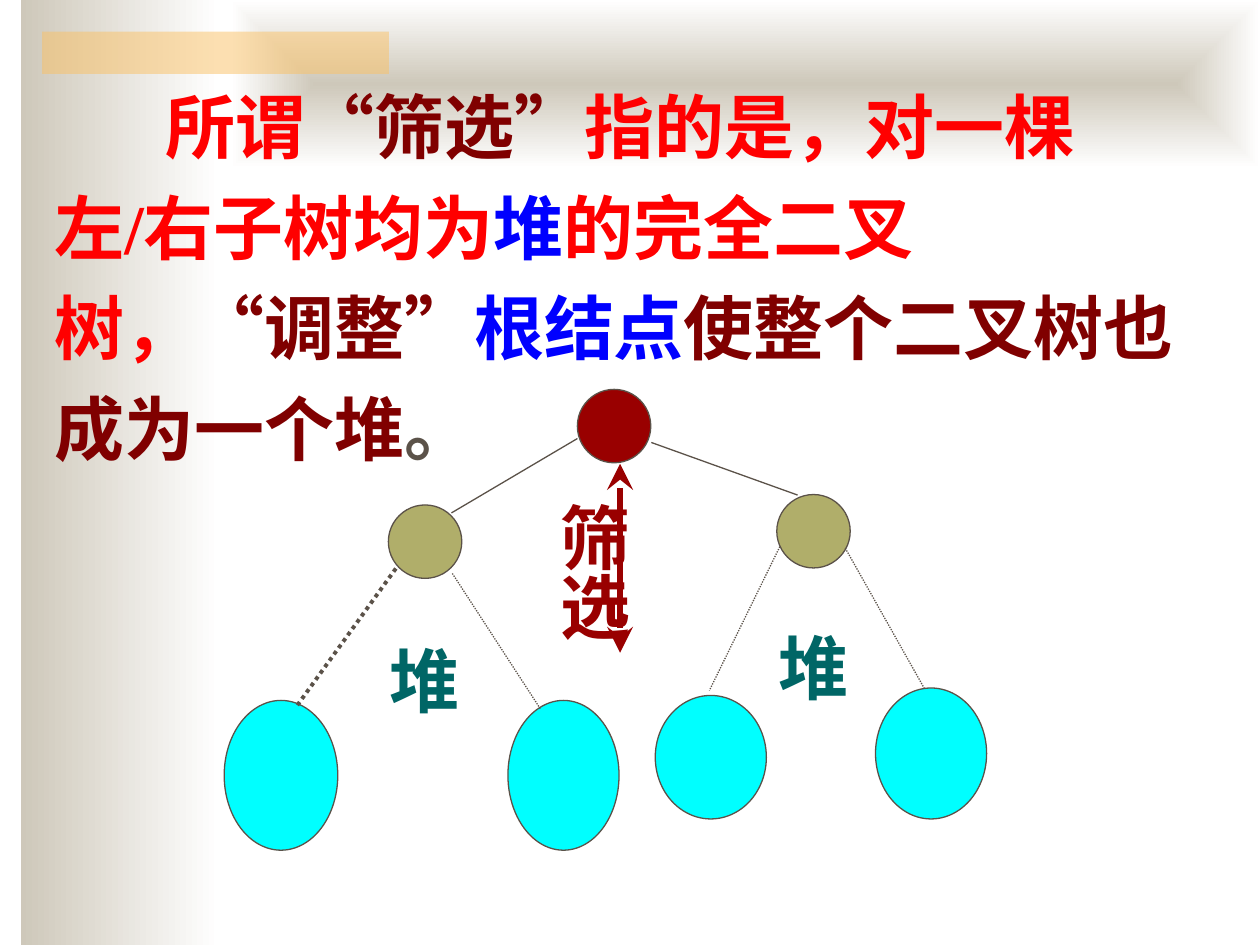
import dataclasses
import typing

import lxml.etree
import pptx
import pptx.dml.color
import pptx.enum.dml
import pptx.enum.shapes
import pptx.enum.text
import pptx.oxml.ns
import pptx.util

Cm = pptx.util.Cm
SHAPE = pptx.enum.shapes.MSO_SHAPE
qn = pptx.oxml.ns.qn

OUTLINE = "5B5249"
SAND = "CEC8BA"
WHITE = "FFFFFF"
RED = "FF0000"
MAROON = "800000"
BLUE = "0000FF"
ROOT = "990000"
CHILD = "B0AE6A"
LEAF = "00FFFF"
TEAL = "006666"
CHAR_FORMAT = {"name": "Times New Roman", "size": pptx.util.Pt(40), "bold": True}


@dataclasses.dataclass
class Box:
    left: float
    top: float
    width: float
    height: float

    def lengths(self) -> list:
        return [Cm(v) for v in (self.left, self.top, self.width, self.height)]


@dataclasses.dataclass
class Node:
    box: Box
    color: str


@dataclasses.dataclass
class Edge:
    x1: float
    y1: float
    x2: float
    y2: float
    color: str = OUTLINE
    width: float = 0.75
    dotted: bool = False
    arrows: bool = False


@dataclasses.dataclass
class Run:
    text: str
    color: str
    new_line: bool = False


@dataclasses.dataclass
class Label:
    box: Box
    runs: list
    format: dict = dataclasses.field(default_factory=dict)
    wrap: bool = True
    vertical: bool = False


def rgb(value: str) -> pptx.dml.color.RGBColor:
    return pptx.dml.color.RGBColor.from_string(value)


def child(parent: typing.Any, tag: str, **attrs: str) -> typing.Any:
    return lxml.etree.SubElement(parent, qn(tag), attrs)


def add_panel(s: typing.Any, box: Box) -> typing.Any:
    sp = s.shapes.add_shape(SHAPE.RECTANGLE, *box.lengths())
    sp.shadow.inherit = False
    sp.line.fill.background()
    return sp


def add_gradient_panel(s: typing.Any, box: Box, from_center: bool) -> None:
    sp = add_panel(s, box)
    sp.fill.gradient()
    sp.fill.gradient_angle = 0
    for stop, position, color in zip(sp.fill.gradient_stops, (0, 1), (SAND, WHITE)):
        stop.position = position
        stop.color.rgb = rgb(color)
    if from_center:
        grad = sp._element.spPr.find(qn("a:gradFill"))
        grad.remove(grad.find(qn("a:lin")))
        center = child(grad, "a:path", path="shape")
        child(center, "a:fillToRect", l="50000", t="50000", r="50000", b="50000")


def add_accent(s: typing.Any, box: Box, color: str) -> None:
    sp = add_panel(s, box)
    sp.fill.solid()
    sp.fill.fore_color.rgb = rgb(color)
    clr = sp._element.spPr.find(qn("a:solidFill")).find(qn("a:srgbClr"))
    child(clr, "a:alpha", val="50000")


def add_node(s: typing.Any, node: Node) -> None:
    sp = s.shapes.add_shape(SHAPE.OVAL, *node.box.lengths())
    sp.shadow.inherit = False
    sp.fill.solid()
    sp.fill.fore_color.rgb = rgb(node.color)
    sp.line.color.rgb = rgb(OUTLINE)
    sp.line.width = pptx.util.Pt(0.75)


def add_edge(s: typing.Any, edge: Edge) -> None:
    ends = [Cm(v) for v in (edge.x1, edge.y1, edge.x2, edge.y2)]
    cx = s.shapes.add_connector(pptx.enum.shapes.MSO_CONNECTOR.STRAIGHT, *ends)
    cx.line.color.rgb = rgb(edge.color)
    cx.line.width = pptx.util.Pt(edge.width)
    if edge.dotted:
        cx.line.dash_style = pptx.enum.dml.MSO_LINE.ROUND_DOT
    if edge.arrows:
        for tag in ("a:headEnd", "a:tailEnd"):
            child(cx.line._get_or_add_ln(), tag, type="stealth", w="lg", len="lg")
    child(cx._element.spPr, "a:effectLst")


def add_label(s: typing.Any, label: Label) -> None:
    sp = s.shapes.add_textbox(*label.box.lengths())
    tf = sp.text_frame
    tf.word_wrap = label.wrap
    tf.auto_size = pptx.enum.text.MSO_AUTO_SIZE.SHAPE_TO_FIT_TEXT
    if label.vertical:
        tf._txBody.bodyPr.set("vert", "eaVert")
    p = tf.paragraphs[0]
    if "indent" in label.format:
        p._p.get_or_add_pPr().set("indent", str(Cm(label.format["indent"])))
    p.line_spacing = label.format.get("line_spacing")
    for run in label.runs:
        if run.new_line:
            p.add_line_break()
        r = p.add_run()
        r.text = run.text
        for key, value in CHAR_FORMAT.items():
            setattr(r.font, key, value)
        r.font.color.rgb = rgb(run.color)


DEFINITION = Label(
    Box(0.85, 1.22, 23.92, 6.35),
    [
        Run("所谓", RED),
        Run("“筛选”", MAROON),
        Run("指的是，对一棵左/右子树均为", RED),
        Run("堆", BLUE),
        Run("的完全二叉", RED),
        Run("树，", RED, new_line=True),
        Run("“调整”", MAROON),
        Run("根结点", BLUE),
        Run("使整个二叉树也成为一个堆", MAROON),
        Run("。", OUTLINE),
    ],
    {"indent": 2.23, "line_spacing": 1.2},
)
INNER_NODES = [
    Node(Box(x, y, 1.48, 1.48), color)
    for x, y, color in [(11.64, 7.85, ROOT), (7.83, 10.18, CHILD), (15.66, 9.97, CHILD)]
]
LEAVES = [
    Node(Box(4.52, 14.12, 2.29, 3.02), LEAF),
    Node(Box(10.24, 14.12, 2.24, 3.02), LEAF),
    Node(Box(13.21, 14.02, 2.24, 2.49), LEAF),
    Node(Box(17.65, 13.87, 2.24, 2.64), LEAF),
]
EDGES = [
    Edge(11.64, 8.84, 9.1, 10.34),
    Edge(13.13, 8.92, 16.08, 9.98),
    Edge(7.98, 11.46, 5.97, 14.25, width=2.25, dotted=True),
    Edge(9.12, 11.56, 10.9, 14.3, dotted=True),
    Edge(15.72, 11.02, 14.3, 13.92, dotted=True),
    Edge(17.04, 11.05, 18.64, 13.89, dotted=True),
    Edge(12.5, 9.35, 12.5, 13.16, color=ROOT, width=3, arrows=True),
]
LABELS = [
    Label(Box(7.6, 12.73, 1.93, 1.95), [Run("堆", TEAL)], wrap=False),
    Label(Box(15.44, 12.47, 1.93, 1.95), [Run("堆", TEAL)], wrap=False),
    Label(Box(10.72, 9.88, 2.21, 4.27), [Run("筛选", ROOT)], vertical=True),
]


def main() -> None:
    prs = pptx.Presentation()
    prs.slide_width, prs.slide_height = Cm(25.4), Cm(19.05)
    s = prs.slides.add_slide(prs.slide_layouts[6])
    add_gradient_panel(s, Box(0.42, 0, 4.02, 19.05), from_center=False)
    add_gradient_panel(s, Box(4.66, 0, 20.74, 3.39), from_center=True)
    add_accent(s, Box(0.85, 0.64, 6.99, 0.85), "FAC164")
    add_label(s, DEFINITION)
    for node in INNER_NODES + LEAVES:
        add_node(s, node)
    for edge in EDGES:
        add_edge(s, edge)
    for label in LABELS:
        add_label(s, label)
    prs.save("out.pptx")


if __name__ == "__main__":
    main()
